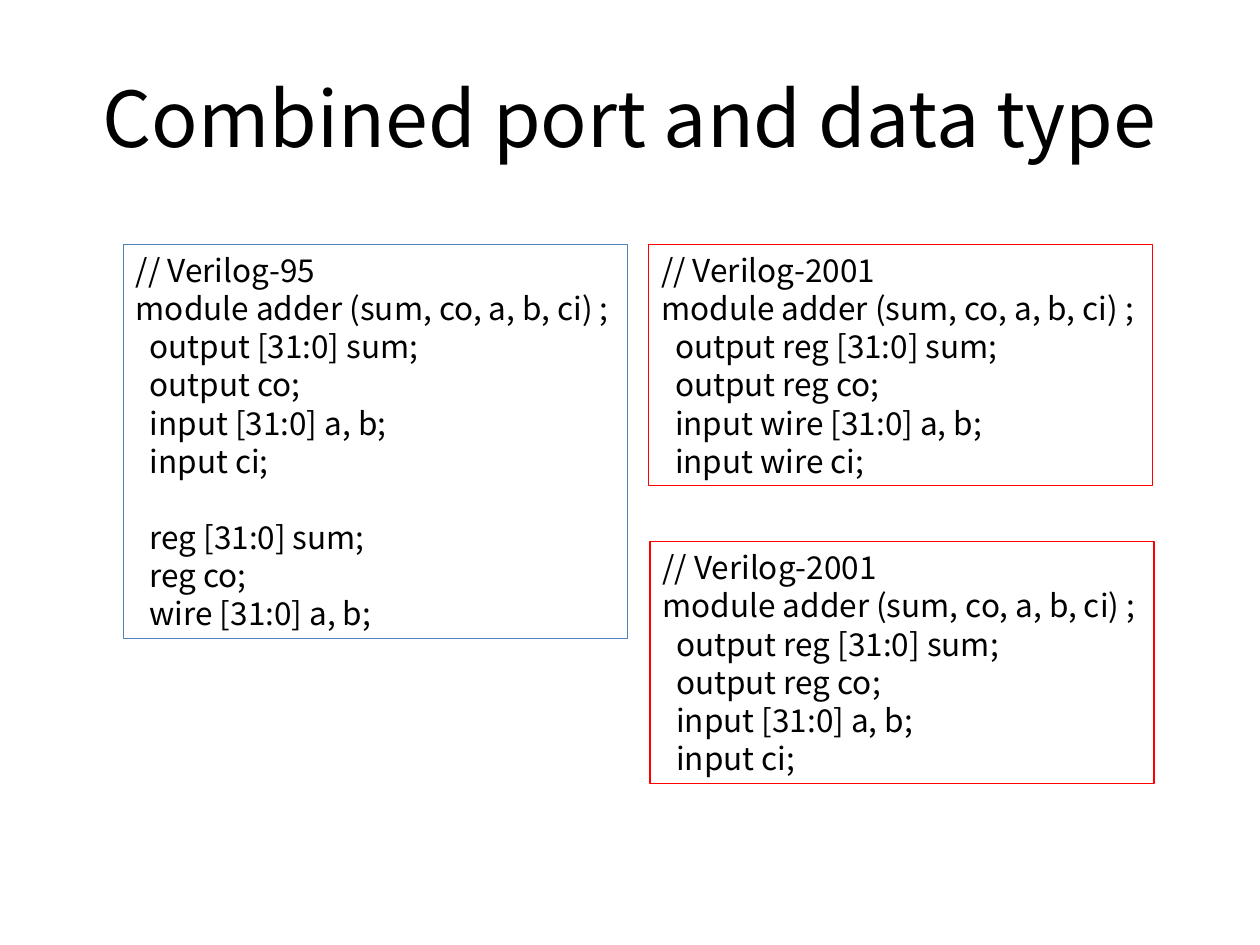
from pptx import Presentation
from pptx.dml.color import RGBColor
from pptx.enum.shapes import MSO_SHAPE as Shape
from pptx.enum.text import MSO_ANCHOR as Anchor, PP_ALIGN as Align
from pptx.util import Inches, Pt

COLORS = {"text": "000000", "old": "4F81BD", "new": "FF0000"}
FONT = "Noto Sans CJK KR"
COLUMNS, ROWS = 100, 75


class SlideBuilder:
    """Holds the style and the current slide; places things on a fine grid."""

    title_size = Pt(44)
    code_size = Pt(18)
    line_height = Pt(21.8)
    inset = Inches(0.05)
    indent = Inches(0.11)

    def __init__(self, deck):
        self.column = deck.slide_width / COLUMNS
        self.row = deck.slide_height / ROWS
        self.page = deck.slides.add_slide(deck.slide_layouts[5])

    def place(self, box, left, top, width, height):
        box.left, box.top = round(left * self.column), round(top * self.row)
        box.width, box.height = round(width * self.column), round(height * self.row)

    def style(self, para, size):
        para.font.name = FONT
        para.font.size = size
        para.font.color.rgb = RGBColor.from_string(COLORS["text"])

    def title(self, text, *area):
        box = self.page.shapes.title
        self.place(box, *area)
        box.text_frame.text = text
        box.text_frame.vertical_anchor = Anchor.MIDDLE
        para = box.text_frame.paragraphs[0]
        para.alignment = Align.CENTER
        self.style(para, self.title_size)

    def code(self, groups, color, left, top, width):
        """Draw a framed listing; one blank line's space parts the groups."""
        line_count = sum(map(len, groups)) + len(groups) - 1
        height = (line_count * self.line_height + 2 * self.inset) / self.row
        box = self.page.shapes.add_shape(Shape.RECTANGLE, 0, 0, 0, 0)
        self.place(box, left, top, width, height)
        box.shadow.inherit = False
        box.fill.background()
        box.line.color.rgb = RGBColor.from_string(COLORS[color])
        box.line.width = Pt(0.75)

        frame = box.text_frame
        frame.word_wrap = True
        frame.vertical_anchor = Anchor.TOP
        frame.margin_top = frame.margin_bottom = self.inset
        frame.text = "\n".join(line for group in groups for line in group)
        group_starts = {len(groups[0])} if len(groups) > 1 else set()
        for number, para in enumerate(frame.paragraphs):
            para.alignment = Align.LEFT
            para.line_spacing = self.line_height
            if number in group_starts:
                para.space_before = self.line_height
            if number > 1:  # the module body is indented
                para._p.get_or_add_pPr().set("marL", str(self.indent))
            self.style(para, self.code_size)


def main():
    deck = Presentation()
    deck.slide_width, deck.slide_height = Inches(10), Inches(7.5)
    slide = SlideBuilder(deck)
    slide.title("Combined port and data type", 5, 3, 90, 12.5)

    header = "module adder (sum, co, a, b, ci) ;"
    new_header = ["// Verilog-2001", header, "output reg [31:0] sum;", "output reg co;"]

    # Separate port and data type declarations
    ports = ["// Verilog-95", header, "output [31:0] sum;", "output co;",
             "input [31:0] a, b;", "input ci;"]
    types = ["reg [31:0] sum;", "reg co;", "wire [31:0] a, b;"]
    slide.code([ports, types], "old", 9.8, 19.4, 40)

    # Combined declarations, with explicit and implicit wires
    slide.code([new_header + ["input wire [31:0] a, b;", "input wire ci;"]],
               "new", 51.5, 19.4, 40)
    slide.code([new_header + ["input [31:0] a, b;", "input ci;"]],
               "new", 51.6, 43, 40)

    deck.save("out.pptx")


if __name__ == "__main__":
    main()
